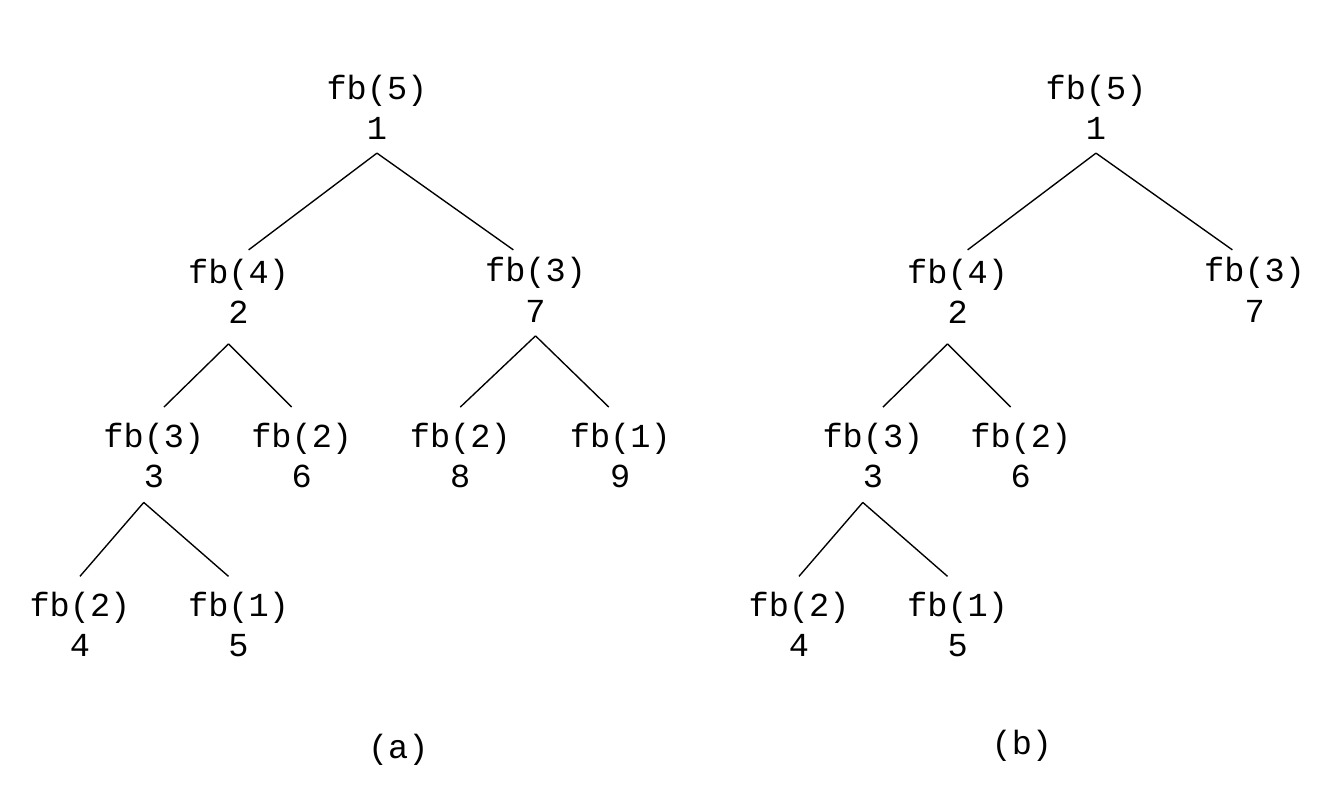
import pptx
import pptx.dml.color
import pptx.enum.shapes
import pptx.enum.text
import pptx.oxml.ns
import pptx.util
from lxml import etree
from pptx.util import Inches

COLORS = {"ink": "000000"}
NODE_W, NODE_H = 0.95, 0.7
TREE_GAP = 5.35

# Call number: (argument, left, top)
NODES = {
    1: (5, 2.33, 0.44),
    2: (4, 1.3, 1.81),
    3: (3, 0.67, 3.03),
    4: (2, 0.12, 4.29),
    5: (1, 1.3, 4.29),
    6: (2, 1.77, 3.03),
    7: (3, 3.51, 1.8),
    8: (2, 2.95, 3.03),
    9: (1, 4.14, 3.03),
}

# Parent, child, start, end; None joins the middle of the node's side
EDGES = [
    (1, 2, None, (1.85, 1.86)),
    (1, 7, None, (3.82, 1.86)),
    (2, 3, (1.7, 2.56), (1.22, 3.03)),
    (2, 6, (1.7, 2.56), (2.17, 3.03)),
    (3, 4, (1.07, 3.74), None),
    (3, 5, (1.07, 3.74), (1.7, 4.29)),
    (7, 8, None, None),
    (7, 9, None, (4.53, 3.03)),
]


def write_text(tf, text, font="Courier New", size=18, color="ink", align=None):
    """Write one paragraph per line of text."""
    for i, line in enumerate(text.split("\n")):
        p = tf.add_paragraph() if i else tf.paragraphs[0]
        p.alignment = align
        r = p.add_run()
        r.text = line
        r.font.name = font
        r.font.size = pptx.util.Pt(size)
        r.font.color.rgb = pptx.dml.color.RGBColor.from_string(COLORS[color])


class TreeSlide:
    """The current slide and the style of its call trees."""

    line_width = pptx.util.Pt(0.75)

    def __init__(self, prs):
        self.s = prs.slides.add_slide(prs.slide_layouts[6])

    def label(self, text, x, y, w, h, **fmt):
        sp = self.s.shapes.add_textbox(Inches(x), Inches(y), Inches(w), Inches(h))
        tf = sp.text_frame
        tf.word_wrap = False
        tf.auto_size = pptx.enum.text.MSO_AUTO_SIZE.SHAPE_TO_FIT_TEXT
        write_text(tf, text, **fmt)
        return sp

    def node(self, call, dx):
        arg, x, y = NODES[call]
        return self.label(f"fb({arg})\n{call}", x + dx, y, NODE_W, NODE_H,
                          align=pptx.enum.text.PP_ALIGN.CENTER)

    def edge(self, parent, child, start, end, dx):
        x1, y1 = start or (0, 0)
        x2, y2 = end or (0, 0)
        line = self.s.shapes.add_connector(
            pptx.enum.shapes.MSO_CONNECTOR.STRAIGHT,
            Inches(x1 + dx), Inches(y1), Inches(x2 + dx), Inches(y2))
        if start is None:
            line.begin_connect(parent, 2)
        if end is None:
            line.end_connect(child, 0)
        line.line.width = self.line_width
        line.line.color.rgb = pptx.dml.color.RGBColor.from_string(COLORS["ink"])
        etree.SubElement(line._element.spPr, pptx.oxml.ns.qn("a:effectLst"))

    def tree(self, calls, dx=0):
        boxes = {call: self.node(call, dx) for call in calls}
        for parent, child, start, end in EDGES:
            if child in boxes:
                self.edge(boxes[parent], boxes[child], start, end, dx)


def main():
    prs = pptx.Presentation()
    prs.slide_width, prs.slide_height = Inches(10), Inches(5.91)
    slide = TreeSlide(prs)

    # Full call tree, then the tree without the repeated calls
    slide.tree(range(1, 10))
    slide.tree(range(1, 8), dx=TREE_GAP)

    # Captions
    slide.label("(a)", 2.64, 5.35, 0.65, 0.4)
    slide.label("(b)", 7.28, 5.32, 0.65, 0.4)

    prs.save("out.pptx")


if __name__ == "__main__":
    main()
